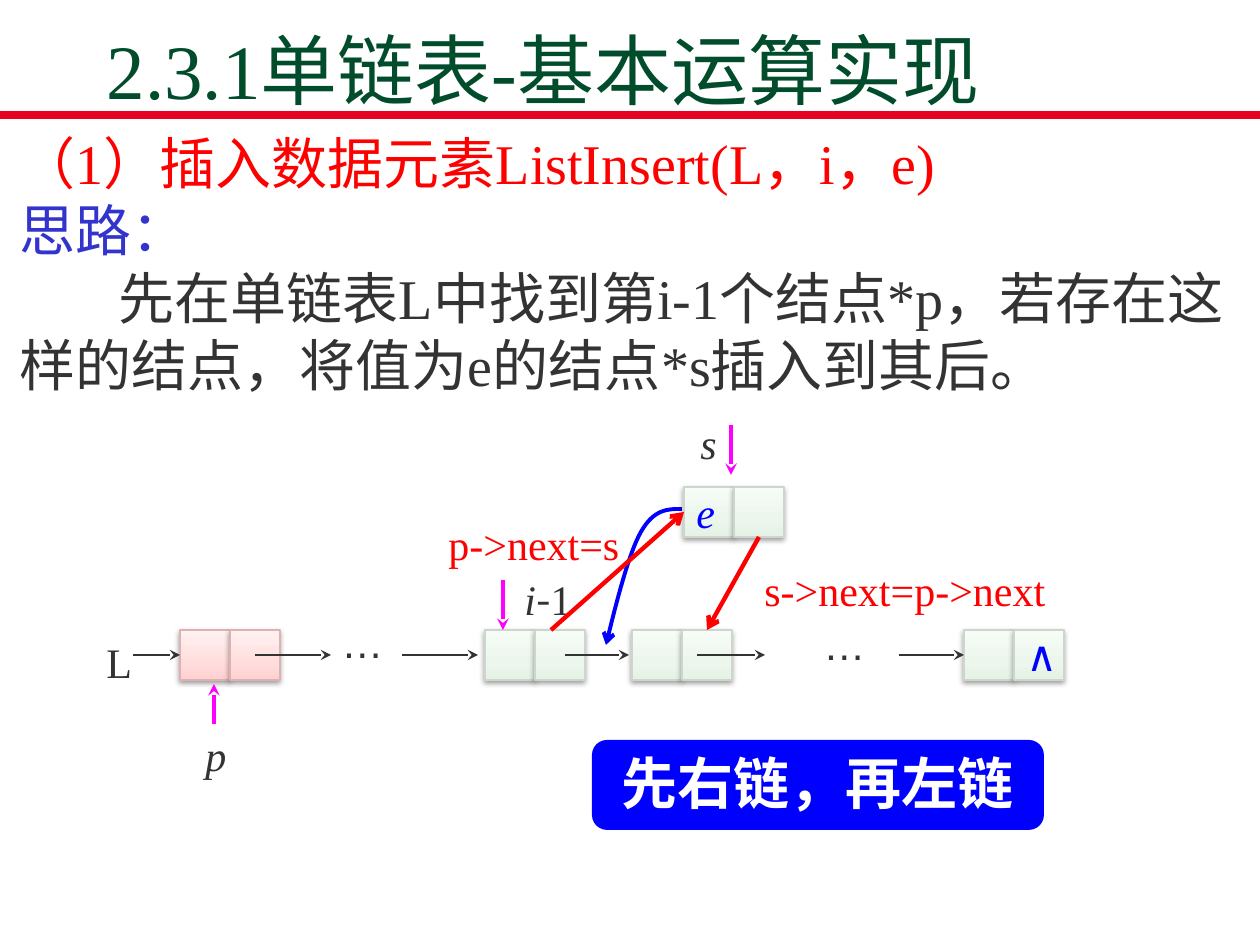
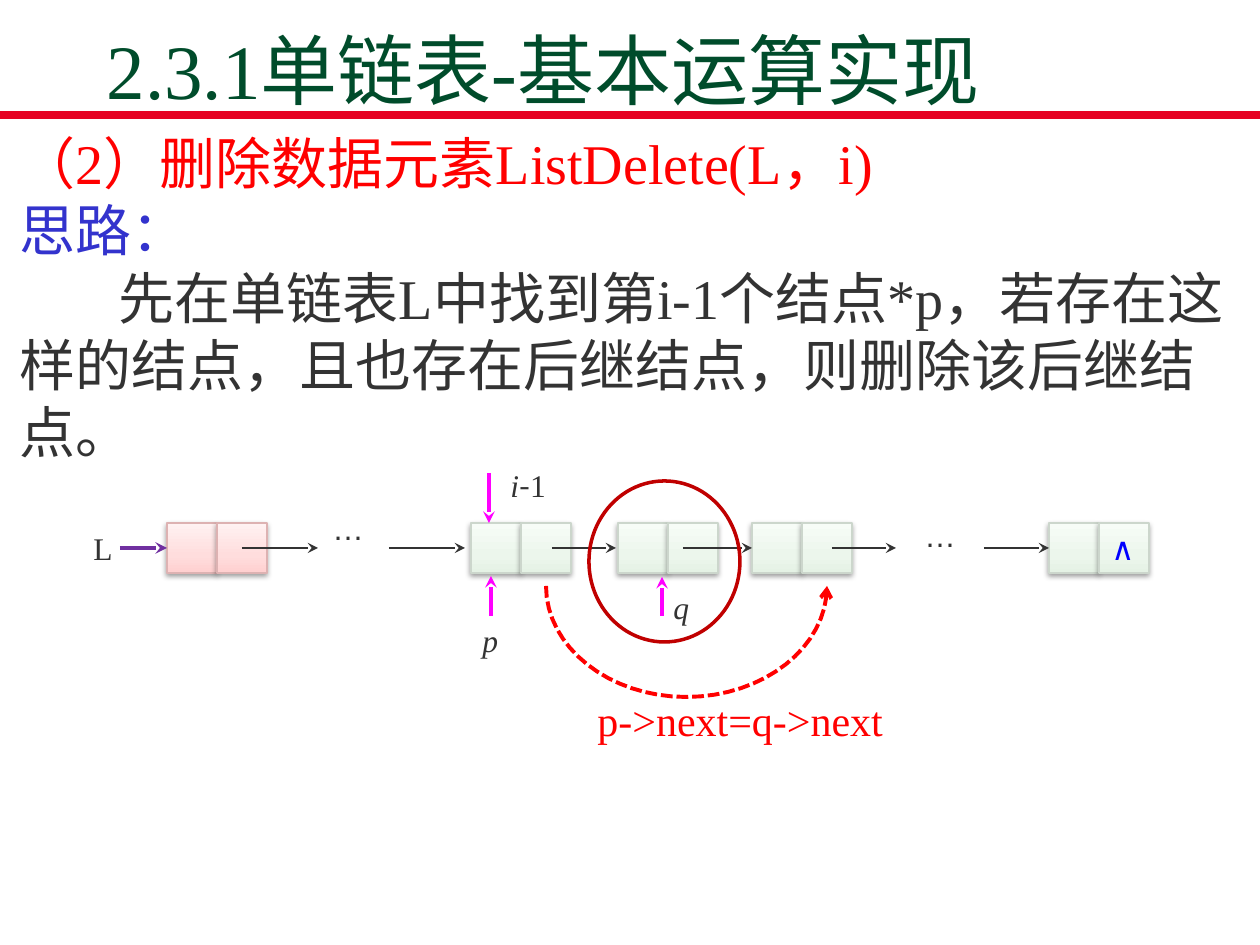
from copy import deepcopy

from lxml.etree import SubElement
from pptx import Presentation
from pptx.dml.color import RGBColor
from pptx.enum.dml import MSO_LINE
from pptx.enum.shapes import MSO_CONNECTOR, MSO_SHAPE
from pptx.enum.text import MSO_ANCHOR, MSO_AUTO_SIZE, PP_ALIGN
from pptx.oxml.ns import qn
from pptx.util import Emu, Pt

SERIF, SANS, SYMBOL, CJK = "Times New Roman", "Arial", "DejaVu Sans", "Noto Sans CJK SC"
INK, RED, BLUE, PINK = "333333", "FF0000", "0000FF", "FF00FF"
GREEN, RULE, TOPIC, WHITE = "004C2B", "E60223", "3333CD", "FFFFFF"
PURPLE, RING = "7030A0", "C00000"
HEAD_TINT = {"stops": ("FFD0D0", "FFDDDD", "FFF2F2"), "edge": "DDB2B2"}
NODE_TINT = {"stops": ("E5F2E5", "ECF6EC", "F7FCF7"), "edge": "CCD6CC"}
CELL = 50


def px(length):
    return Emu(round(length * 914400 / 126))


def rgb(value):
    return RGBColor.from_string(value)


def place(shape, box):
    for name, length in zip(("left", "top", "width", "height"), box):
        setattr(shape, name, px(length))


def add_spans(para, spans, **shared):
    """Add (text, format) runs; shared values apply unless a run overrides them."""
    for text, own in spans:
        look = {"name": SERIF, "size": 24, "color": INK, **shared, **own}
        span = para.add_run()
        span.text = text
        span.font.color.rgb = rgb(look.pop("color"))
        look["size"] = Pt(look["size"])
        for name, value in look.items():
            setattr(span.font, name, value)
        props = span.font._element
        props.set("lang", "zh-CN")
        east_asian = CJK if look["name"] == SERIF else look["name"]
        SubElement(props, qn("a:ea"), typeface=east_asian)


def set_frame(frame, **values):
    for name, value in values.items():
        setattr(frame, name, value)


def label(page, box, spans, size=24, **shared):
    shape = page.shapes.add_textbox(*map(px, box))
    if isinstance(spans, str):
        spans = [(spans, {})]
    shape.text_frame.word_wrap = True
    add_spans(shape.text_frame.paragraphs[0], spans, size=size, **shared)


def style_line(shape, color, width, head=None, dash=None):
    shape.line.color.rgb = rgb(color)
    shape.line.width = Pt(width)
    if dash:
        shape.line.dash_style = dash
    if head:
        SubElement(shape._element.spPr.find(qn("a:ln")), qn("a:tailEnd"), type=head)


def arrow(page, start, end, color=INK, width=0.75, head="stealth"):
    """Draw a straight line between ends given as (x, y) or as (shape, side)."""
    points = [spot if isinstance(spot[0], int) else (0, 0) for spot in (start, end)]
    line = page.shapes.add_connector(
        MSO_CONNECTOR.STRAIGHT, *(px(n) for point in points for n in point))
    for spot, join in ((start, line.begin_connect), (end, line.end_connect)):
        if not isinstance(spot[0], int):
            join(*spot)
    style_line(line, color, width, head)
    SubElement(line._element.spPr, qn("a:effectLst"))


def pointer(page, start, end):
    arrow(page, start, end, PINK, 2.25)


def curve(page, points, color, dash=None, steps=16):
    """Draw joined cubic curves through start, control, control, end, ..."""
    track = []
    for first in range(0, len(points) - 1, 3):
        knots = points[first:first + 4]
        for step in range(1, steps + 1):
            t = step / steps
            weights = ((1 - t) ** 3, 3 * t * (1 - t) ** 2, 3 * t * t * (1 - t), t ** 3)
            track.append(tuple(px(sum(w * knot[axis] for w, knot in zip(weights, knots)))
                               for axis in (0, 1)))
    builder = page.shapes.build_freeform(*map(px, points[0]))
    builder.add_line_segments(track, close=False)
    shape = builder.convert_to_shape()
    shape.shadow.inherit = False
    shape.fill.background()
    style_line(shape, color, 2.25, "arrow", dash)


def add_cell(page, left, top, tint, mark=None):
    cell = page.shapes.add_shape(MSO_SHAPE.RECTANGLE, *map(px, (left, top, CELL, CELL)))
    cell.fill.gradient()
    cell.fill.gradient_angle = 90
    stop_list = cell._element.spPr.find(".//" + qn("a:gsLst"))
    stop_list.insert(1, deepcopy(stop_list[0]))
    for stop, color, position in zip(cell.fill.gradient_stops, tint["stops"], (0, 0.35, 1)):
        stop.color.rgb = rgb(color)
        stop.position = position
    style_line(cell, tint["edge"], 0.75)
    cell.shadow.inherit = False
    shadow = SubElement(cell._element.spPr.find(qn("a:effectLst")), qn("a:outerShdw"),
                        blurRad=str(Pt(3.1)), dist=str(Pt(1.6)), dir="5400000",
                        rotWithShape="0")
    shade = SubElement(shadow, qn("a:srgbClr"), val="000000")
    SubElement(shade, qn("a:alpha"), val="38000")
    if mark:
        text, look = mark
        set_frame(cell.text_frame, word_wrap=False, vertical_anchor=MSO_ANCHOR.MIDDLE)
        para = cell.text_frame.paragraphs[0]
        para.alignment = PP_ALIGN.LEFT
        add_spans(para, [(text, {})], color=BLUE, **look)
    return cell


def add_node(page, left, top, tint=NODE_TINT, data=None, link=None):
    """Draw the data cell and the link cell of one list node."""
    return (add_cell(page, left, top, tint, data),
            add_cell(page, left + CELL, top, tint, link))


def draw_chain(page, left, top, middle, last, dots, size, entry):
    """Draw a list from L to its end node; offsets count from the head node."""
    centre = top + CELL // 2
    head = add_node(page, left, top, HEAD_TINT)
    nodes = [add_node(page, left + offset, top) for offset in middle]
    end = add_node(page, left + last, top,
                   link=("∧", {"name": SYMBOL, "size": size}))
    label(page, (left - 86, top, 37, 63), "L", size)
    arrow(page, (left - 47, centre), (head[0], 1), **entry)
    for start, stop in ((75, 151), (222, 298), (385, 449)):
        arrow(page, (left + start, centre), (left + stop, centre))
    arrow(page, (left + last - 65, centre), (end[0], 1))
    for offset, rise in dots:
        label(page, (left + offset, top - rise, 100, 63), "…", size, name=SANS)
    return nodes


def index_label(page, left, top, size):
    label(page, (left, top, 81, 63),
          [("i", {"italic": True}), ("-", {"name": CJK}), ("1", {})], size)


def start_page(deck, heading, idea, height):
    page = deck.slides.add_slide(deck.slide_layouts.get_by_name("Title Only"))
    arrow(page, (0, 115), (1260, 115), RULE, 4.5, None)

    title = page.shapes.title
    place(title, (94, 33, 1071, 82))
    set_frame(title.text_frame, vertical_anchor=MSO_ANCHOR.BOTTOM,
              auto_size=MSO_AUTO_SIZE.NONE, margin_top=0, margin_bottom=0)
    para = title.text_frame.paragraphs[0]
    para.alignment = PP_ALIGN.LEFT
    add_spans(para, [("2.3.1单链表-基本运算实现", {})], size=44, color=GREEN)

    body = page.shapes.add_textbox(*map(px, (7, 122, 1239, height)))
    body.text_frame.word_wrap = True
    lines = ((heading, RED, 0), ("思路：", TOPIC, 0), (idea, INK, 99))
    for row, (text, color, indent) in enumerate(lines):
        para = body.text_frame.add_paragraph() if row else body.text_frame.paragraphs[0]
        para.line_spacing = Pt(38.5)
        para._p.get_or_add_pPr().set("indent", str(px(indent)))
        add_spans(para, [(text, {})], size=32, color=color)
    return page


def draw_banner(page, box, text):
    banner = page.shapes.add_shape(MSO_SHAPE.FLOWCHART_ALTERNATE_PROCESS, *map(px, box))
    banner.shadow.inherit = False
    banner.fill.solid()
    banner.fill.fore_color.rgb = rgb(BLUE)
    banner.line.fill.background()
    set_frame(banner.text_frame, vertical_anchor=MSO_ANCHOR.TOP, word_wrap=True,
              margin_top=px(4), margin_bottom=0)
    para = banner.text_frame.paragraphs[0]
    para.alignment = PP_ALIGN.CENTER
    add_spans(para, [(text, {})], size=32, color=WHITE, bold=True)


def insert_page(deck):
    page = start_page(deck, "（1）插入数据元素ListInsert(L，i，e)",
                      "先在单链表L中找到第i-1个结点*p，若存在这样的结点，将值为e的结点*s插入到其后。", 284)
    left, top = 180, 630
    centre = top + CELL // 2
    nodes = draw_chain(page, left, top, (305, 452), 784, ((149, 20), (631, 18)), 24, {})
    arrow(page, (left + 517, centre), (left + 585, centre))
    pointer(page, (503, 580), (503, top))
    index_label(page, 512, 567, 24)

    curve(page, [(682, 509), (668, 509), (654, 509), (641, 532),
                 (629, 553), (617, 600), (606, 645)], BLUE)
    new_node = add_node(page, 684, 487, data=("e", {"italic": True}))
    label(page, (688, 411, 49, 63), "s", italic=True)
    pointer(page, (731, 425), (731, 475))
    arrow(page, (new_node[1], 2), (nodes[1][1], 0), RED, 2.5, "arrow")
    arrow(page, (551, top), (new_node[0], 1), RED, 2.5, "arrow")
    label(page, (752, 558, 444, 63), "s->next=p->next", color=RED)
    label(page, (436, 512, 208, 63), "p->next=s", color=RED)

    draw_banner(page, (592, 740, 452, 90), "先右链，再左链")
    pointer(page, (214, 724), (214, 684))
    label(page, (193, 723, 49, 63), "p", italic=True)


def delete_page(deck):
    page = start_page(deck, "（2）删除数据元素ListDelete(L，i)",
                      "先在单链表L中找到第i-1个结点*p，若存在这样的结点，且也存在后继结点，则删除该后继结点。", 352)
    left, top = 167, 523
    centre = top + CELL // 2
    nodes = draw_chain(page, left, top, (304, 451, 585), 882, ((153, 20), (745, 13)), 18,
                       {"color": PURPLE, "width": 2.25})
    arrow(page, (left + 516, centre), (nodes[2][0], 1))
    arrow(page, (left + 665, centre), (left + 729, centre))
    pointer(page, (489, 473), (489, top))
    index_label(page, 498, 460, 18)
    pointer(page, (491, 616), (491, 576))
    label(page, (470, 615, 49, 50), "p", 18, italic=True)

    ring = page.shapes.add_shape(MSO_SHAPE.OVAL, *map(px, (589, 481, 151, 161)))
    ring.shadow.inherit = False
    ring.fill.background()
    style_line(ring, RING, 2)
    label(page, (661, 582, 49, 50), "q", 18, italic=True)
    pointer(page, (662, 616), (662, 577))

    curve(page, [(546, 586), (546, 647), (609, 697), (686, 697),
                 (764, 697), (827, 647), (827, 586)], RED, MSO_LINE.SQUARE_DOT)
    label(page, (585, 688, 353, 63), "p->next=q->next", color=RED)


def main():
    deck = Presentation()
    deck.slide_width, deck.slide_height = px(1260), px(945)
    insert_page(deck)
    delete_page(deck)
    deck.save("out.pptx")


if __name__ == "__main__":
    main()
